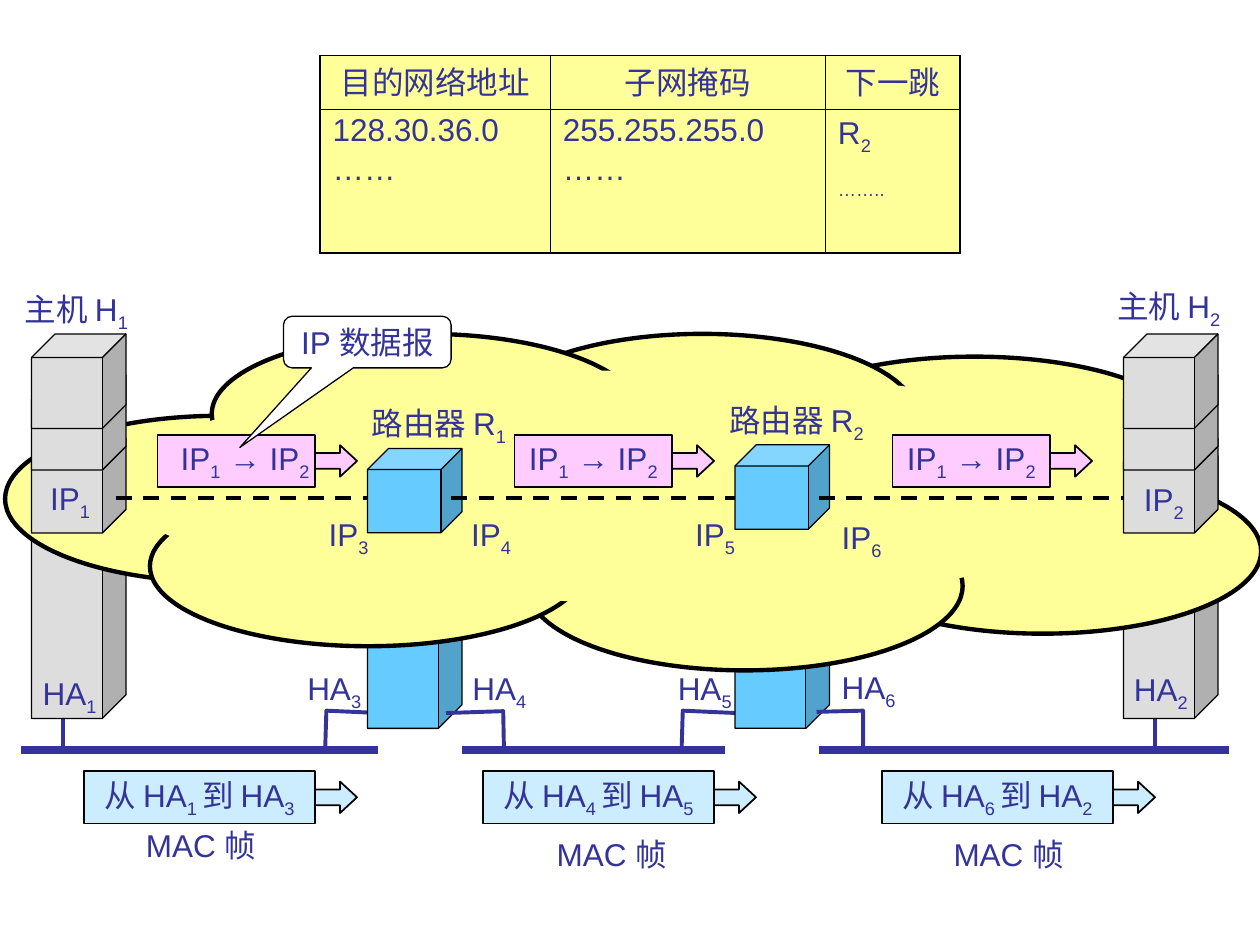
from lxml.etree import SubElement
from pptx import Presentation
from pptx.dml.color import RGBColor
from pptx.enum.dml import MSO_LINE
from pptx.enum.shapes import MSO_CONNECTOR, MSO_SHAPE
from pptx.enum.text import MSO_ANCHOR, MSO_AUTO_SIZE, PP_ALIGN
from pptx.oxml.ns import qn
from pptx.util import Pt

COLORS = {"ink": "333399", "black": "000000", "white": "FFFFFF", "host": "DDDDDD",
          "router": "66CCFF", "cloud": "FFFF99", "packet": "FFCCFF", "frame": "CCECFF"}
FONT, SIZE = "Arial", 18

ROUTES = [
    ["目的网络地址", "子网掩码", "下一跳"],
    ["128.30.36.0\n……", "255.255.255.0\n……", "R|2\n|……..|"],
]
TABLE_LEFT, TABLE_TOP = 182.9, 31.8
COLUMN_WIDTHS, ROW_HEIGHTS = [131.6, 157.2, 77], [26.7, 82]

HOST_LEFTS, HOST_WIRES = [18, 642], [36, 660]
HOST_LAYERS = [250.6, 214.6, 190.8]
ROUTERS = [(210, 266.4, 256.3), (420, 284.4, 254.2)]
CUBE, ROUTER_HEIGHT, ROUTER_BOTTOM = 54, 48.2, 416.2
HOST_BASE, HOST_BASE_HEIGHT = 260.6, 150

CLOUD_PUFFS = [
    (470.9, 267.8, 249.8, 94.3), (2.9, 237.6, 245.5, 95), (432, 203.8, 249.8, 91.4),
    (301, 286.6, 249.1, 96.5), (85.7, 277.9, 249.1, 91.4), (278.6, 190.8, 245.5, 95),
    (121, 190.8, 244.8, 91.4),
]
CLOUD_CORE = (68.4, 211.7, 595.4, 132.5)

LAN_Y, PATH_Y = 428.4, 284.4
LANS = [(12.2, 216), (264.2, 414), (468, 702)]
PATHS = [(66.2, 216), (257.8, 420), (468, 642)]
LEFT_WIRES = [[(185.8, LAN_Y), (186.5, 406.1), (217.4, 407.5)],
              [(389.5, LAN_Y), (390.2, 406.1), (421.2, 407.5)]]
RIGHT_WIRES = [[(493.2, LAN_Y), (493.2, 406.1), (466.6, 406.8)],
               [(288, LAN_Y), (287.6, 406.4), (254.9, 407.5)]]

LABELS = [
    ("IP|1", 21.6, 270), ("IP|2", 646.6, 270.7), ("IP|3", 180.7, 290.9),
    ("IP|4", 262.1, 290.9), ("IP|5", 390.2, 290.9), ("IP|6", 473.8, 292.3),
    ("HA|1", 17.3, 381.6), ("HA|2", 640.8, 379.4), ("HA|3", 168.5, 378.7),
    ("HA|4", 262.8, 378.7), ("HA|5", 380.2, 378.7), ("HA|6", 473.8, 378),
    ("主机 H|1", 7.2, 162), ("主机 H|2", 631.4, 160.6),
    ("路由器 R|1", 205.2, 227.5), ("路由器 R|2", 409.7, 225.4),
    ("MAC 帧", 76.3, 468.7), ("MAC 帧", 311, 473.8), ("MAC 帧", 537.8, 473.8),
]
LABEL_WIDTHS = {"IP": 40, "HA": 48, "主机": 80, "路由": 98, "MA": 84}

PACKET_TEXT, PACKET_LEFTS = "IP|1| → IP|2", [90, 294, 510]
FRAMES = [("从 HA|1 |到 HA|3", 48), ("从 HA|4 |到 HA|5", 276), ("从 HA|6 |到 HA|2", 504)]


def color(name):
    return RGBColor.from_string(COLORS[name])


def write(text_frame, text, align=PP_ALIGN.LEFT, spacing=None):
    """Fill a text frame, turning every second |-part into a subscript."""
    for index, line in enumerate(text.split("\n")):
        para = text_frame.paragraphs[0] if index == 0 else text_frame.add_paragraph()
        para.alignment = align
        if spacing:
            para.line_spacing = spacing
            para.space_before = Pt(4.5 if index else 0)
        for position, part in enumerate(line.split("|")):
            if not part:
                continue
            span = para.add_run()
            span.text = part
            span.font.name, span.font.size = FONT, Pt(SIZE)
            span.font.color.rgb = color("ink")
            if position % 2:
                span.font._element.set("baseline", "-25000")


def add_shape(kind, bounds, fill, line_width=0.75, adjustments=(), text=None, shift=0):
    shape = page.shapes.add_shape(kind, *map(Pt, bounds))
    shape.shadow.inherit = False
    shape.fill.solid()
    shape.fill.fore_color.rgb = color(fill)
    if line_width:
        shape.line.color.rgb = color("black")
        shape.line.width = Pt(line_width)
    else:
        shape.line.fill.background()
    for index, value in enumerate(adjustments):
        shape.adjustments[index] = value
    if text:
        frame = shape.text_frame
        frame.word_wrap = False
        frame.vertical_anchor = MSO_ANCHOR.MIDDLE
        frame.margin_left = Pt(7.2 + shift)
        write(frame, text, PP_ALIGN.CENTER)


def add_label(text, left, top):
    height = 31.7 if "|" in text else 28.8
    box = page.shapes.add_textbox(Pt(left), Pt(top), Pt(LABEL_WIDTHS[text[:2]]), Pt(height))
    frame = box.text_frame
    frame.word_wrap = True
    frame.auto_size = MSO_AUTO_SIZE.NONE
    frame.margin_right = 0
    write(frame, text)


def add_cube(left, top, height, fill):
    add_shape(MSO_SHAPE.CUBE, (left, top, CUBE, height), fill, adjustments=[0.25])


def add_line(start, end, name, width, dash=None):
    line = page.shapes.add_connector(MSO_CONNECTOR.STRAIGHT, *map(Pt, start + end))
    line.line.color.rgb = color(name)
    line.line.width = Pt(width)
    if dash:
        line.line.dash_style = dash
    SubElement(line._element.spPr, qn("a:effectLst"))


def add_wire(points):
    start, *rest = [(Pt(x), Pt(y)) for x, y in points]
    builder = page.shapes.build_freeform(*start)
    builder.add_line_segments(rest, close=False)
    wire = builder.convert_to_shape()
    wire.shadow.inherit = False
    wire.fill.background()
    wire.line.color.rgb = color("ink")
    wire.line.width = Pt(2.25)


def add_parcel(text, left, top, width, fill, shift=0):
    add_shape(MSO_SHAPE.RECTANGLE, (left, top, width, 30), fill, 1, text=text, shift=shift)
    add_shape(MSO_SHAPE.RIGHT_ARROW, (left + width, top + 6, 24, 18), fill, 1, [0.5, 0.54])


def set_borders(cell, widths):
    properties = cell._tc.get_or_add_tcPr()
    for index, (side, width) in enumerate(widths.items()):
        border = SubElement(properties, qn(f"a:{side}"), w=str(Pt(width)))
        SubElement(SubElement(border, qn("a:solidFill")), qn("a:srgbClr"), val=COLORS["black"])
        properties.insert(index, border)


def add_routes():
    rows, columns = len(ROUTES), len(ROUTES[0])
    table = page.shapes.add_table(rows, columns, Pt(TABLE_LEFT), Pt(TABLE_TOP),
                                  Pt(sum(COLUMN_WIDTHS)), Pt(sum(ROW_HEIGHTS))).table
    table.first_row = table.horz_banding = False
    for column, width in zip(table.columns, COLUMN_WIDTHS):
        column.width = Pt(width)
    for r, texts in enumerate(ROUTES):
        table.rows[r].height = Pt(ROW_HEIGHTS[r])
        for c, text in enumerate(texts):
            cell = table.cell(r, c)
            cell.fill.solid()
            cell.fill.fore_color.rgb = color("cloud")
            write(cell.text_frame, text, PP_ALIGN.LEFT if r else PP_ALIGN.CENTER, 0.9)
            outer = {"lnL": c == 0, "lnR": c == columns - 1, "lnT": r == 0, "lnB": r == rows - 1}
            set_borders(cell, {side: 1.08 if edge else 0.45 for side, edge in outer.items()})


deck = Presentation()
deck.slide_width, deck.slide_height = Pt(720), Pt(540)
page = deck.slides.add_slide(deck.slide_layouts[6])

for points in LEFT_WIRES:
    add_wire(points)
for x in HOST_WIRES:
    add_line((x, LAN_Y), (x, 386.6), "ink", 2.25)
for left in HOST_LEFTS:
    add_cube(left, HOST_BASE, HOST_BASE_HEIGHT, "host")
for left, base, _ in ROUTERS:
    add_cube(left, base, ROUTER_BOTTOM - base, "router")
for bounds in CLOUD_PUFFS:
    add_shape(MSO_SHAPE.OVAL, bounds, "cloud", 2.5)
add_shape(MSO_SHAPE.OVAL, CLOUD_CORE, "cloud", 0)
for start, end in LANS:
    add_line((start, LAN_Y), (end, LAN_Y), "ink", 4.5)
for left in HOST_LEFTS:
    for top in HOST_LAYERS:
        add_cube(left, top, CUBE, "host")
for index, (start, end) in enumerate(PATHS):
    add_line((start, PATH_Y), (end, PATH_Y), "black", 2.25, MSO_LINE.DASH)
    if index < len(ROUTERS):
        left, _, top = ROUTERS[index]
        add_cube(left, top, ROUTER_HEIGHT, "router")
for points in RIGHT_WIRES:
    add_wire(points)
for index, left in enumerate(PACKET_LEFTS):
    add_parcel(PACKET_TEXT, left, 248.4, 90, "packet", 0 if index else 10)
for text, left in FRAMES:
    add_parcel(text, left, 440.6, 132, "frame")
for label in LABELS:
    add_label(*label)
add_shape(MSO_SHAPE.ROUNDED_RECTANGULAR_CALLOUT, (162, 180.7, 95.8, 29.5), "white",
          adjustments=[-0.76, 2.04, 0.17], text="IP 数据报")
add_routes()
deck.save("out.pptx")
